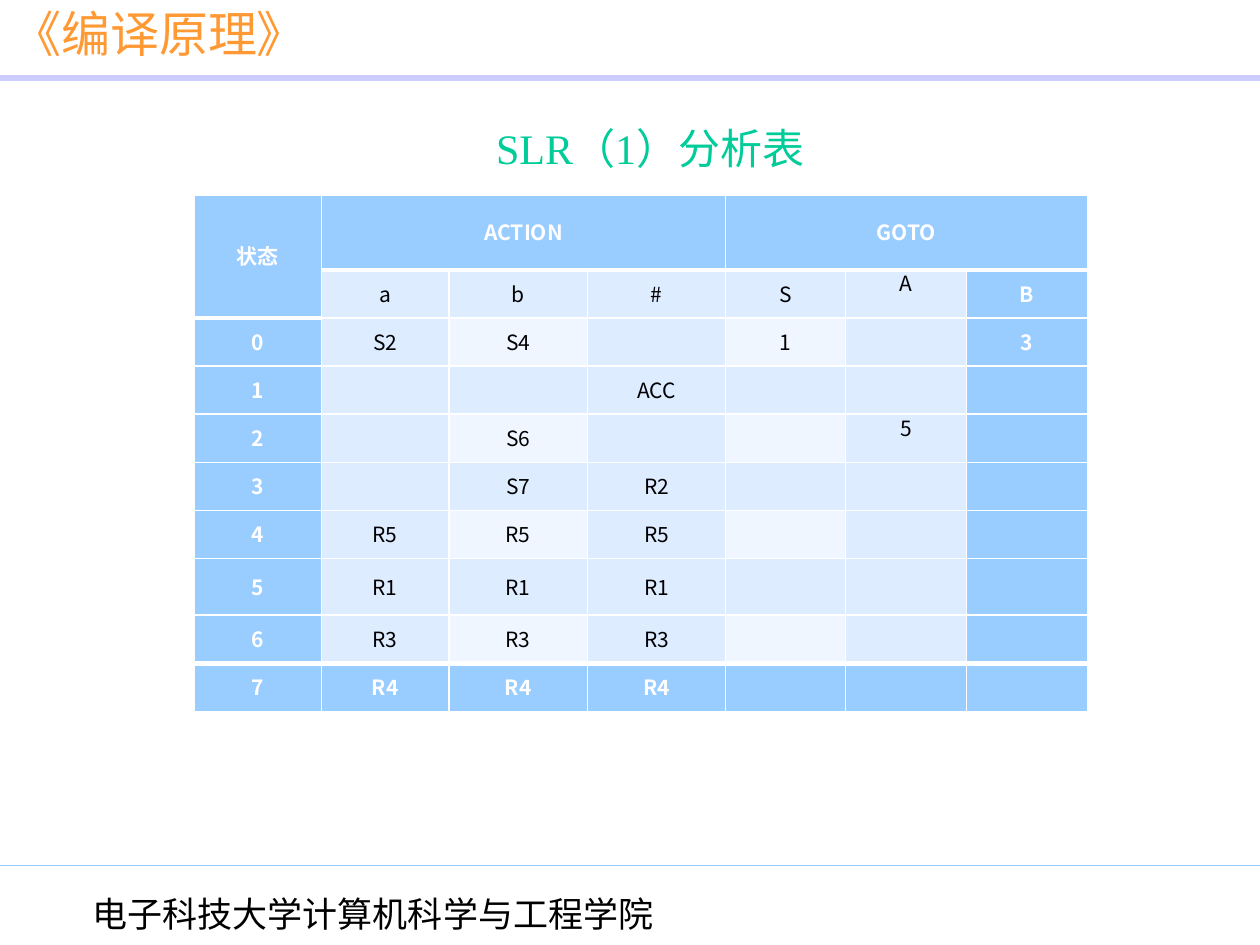
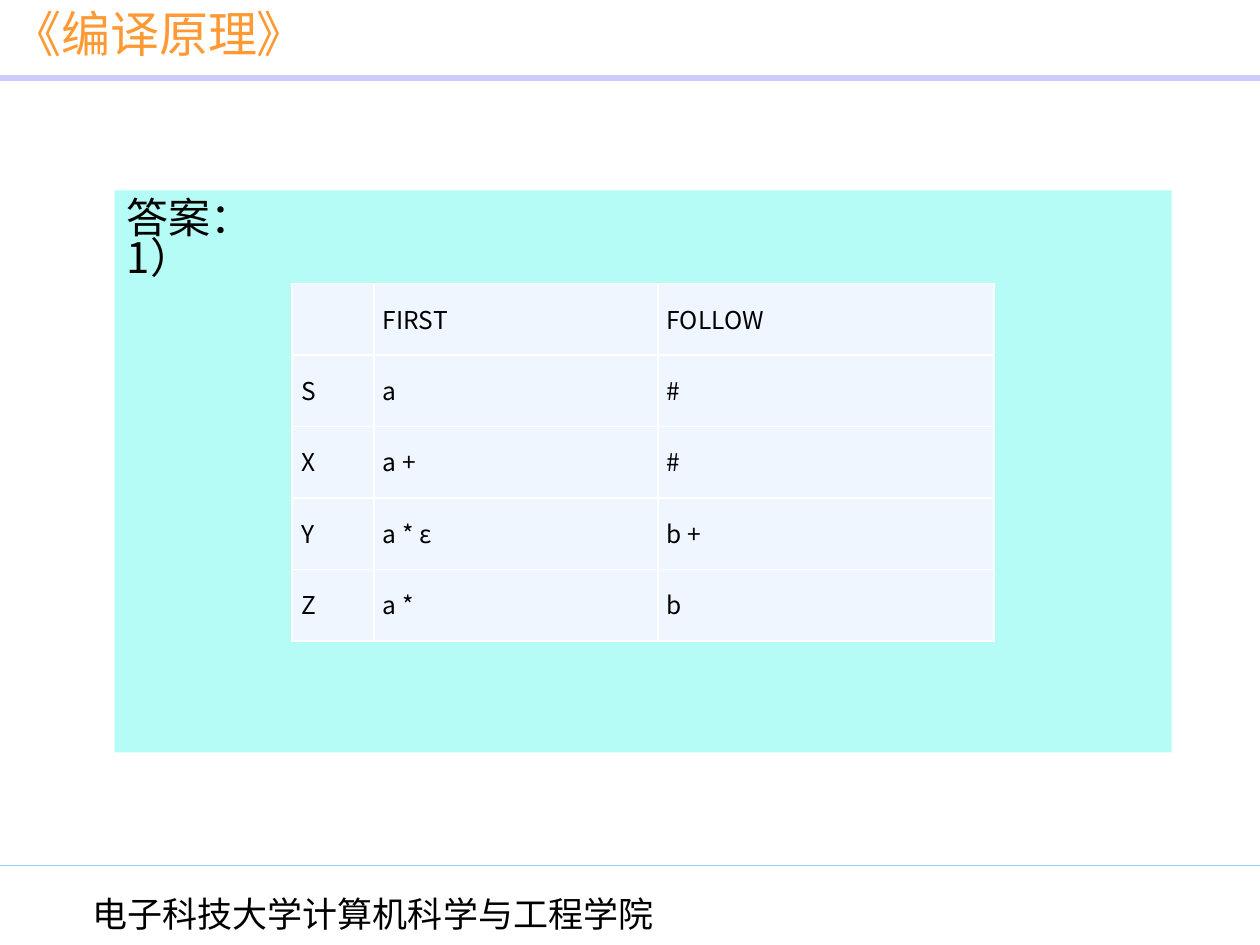
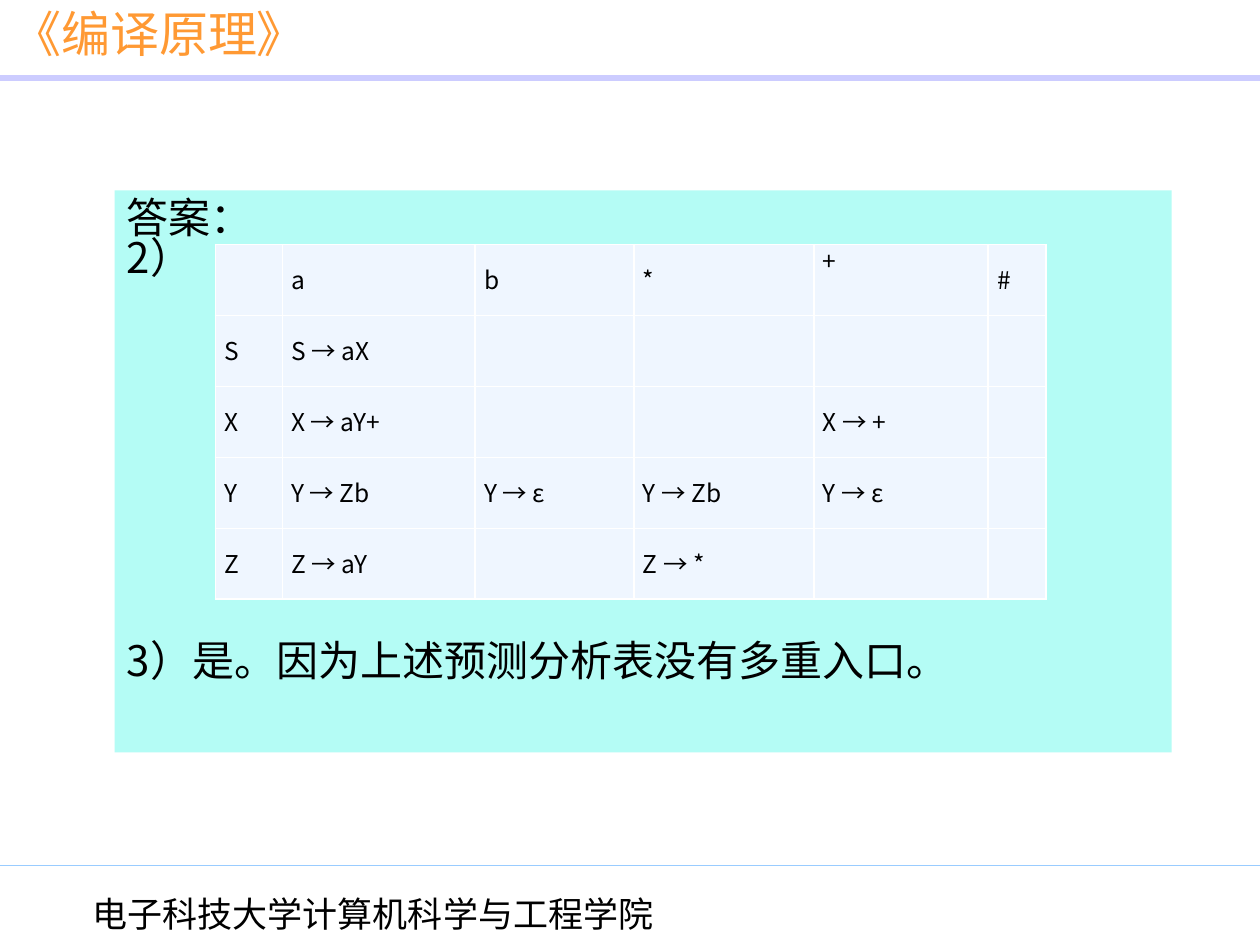
"""Build three compiler-course slides with parsing tables."""
from lxml import etree
from pptx import Presentation
from pptx import util as u
from pptx.dml.color import RGBColor
from pptx.enum import shapes, text
from pptx.oxml import ns

Cm, Pt = u.Cm, u.Pt
ALIGN, ANCHOR = text.PP_ALIGN, text.MSO_ANCHOR

WHITE = RGBColor(0xFF, 0xFF, 0xFF)
BLACK = RGBColor(0x00, 0x00, 0x00)
ORANGE = RGBColor(0xFF, 0x99, 0x33)
GREEN = RGBColor(0x00, 0xCC, 0x99)
LILAC = RGBColor(0xCC, 0xCC, 0xFF)
SKY = RGBColor(0x99, 0xCC, 0xFF)
PALE = RGBColor(0xDE, 0xEC, 0xFF)
PALEST = RGBColor(0xEF, 0xF6, 0xFF)
MINT = RGBColor(0xB4, 0xFC, 0xF5)

SANS, SANS_JP, SERIF = "Noto Sans CJK SC", "Noto Sans CJK JP", "Times New Roman"
SLIDE_W, SLIDE_H = 25.4, 19.05
PANEL = (2.31, 3.84, 21.31, 11.33)

ACTION_GOTO = [
    ["状态", "ACTION", "", "", "GOTO", "", ""],
    ["", "a", "b", "#", "S", "A", "B"],
    ["0", "S2", "S4", "", "1", "", "3"],
    ["1", "", "", "ACC", "", "", ""],
    ["2", "", "S6", "", "", "5", ""],
    ["3", "", "S7", "R2", "", "", ""],
    ["4", "R5", "R5", "R5", "", "", ""],
    ["5", "R1", "R1", "R1", "", "", ""],
    ["6", "R3", "R3", "R3", "", "", ""],
    ["7", "R4", "R4", "R4", "", "", ""],
]
FIRST_FOLLOW = [
    ["", "FIRST", "FOLLOW"],
    ["S", "a", "#"],
    ["X", "a +", "#"],
    ["Y", "a * ε", "b +"],
    ["Z", "a *", "b"],
]
PREDICTIONS = [
    ["", "a", "b", "*", "+", "#"],
    ["S", "S → aX", "", "", "", ""],
    ["X", "X → aY+", "", "", "X → +", ""],
    ["Y", "Y → Zb", "Y → ε", "Y → Zb", "Y → ε", ""],
    ["Z", "Z → aY", "", "Z → *", "", ""],
]


def apply(target, values):
    """Set every attribute named in a dict of format values."""
    for name, value in values.items():
        setattr(target, name, value)


def write(paragraph, words, size, color, face, bold=False, **layout):
    """Put one formatted run into a paragraph."""
    apply(paragraph, layout)
    run = paragraph.add_run()
    run.text = words
    apply(run.font, {"size": Pt(size), "name": face, "bold": bold})
    run.font.color.rgb = color
    east_asian = etree.SubElement(run.font._element, ns.qn("a:ea"))
    east_asian.set("typeface", SANS_JP if face == SANS_JP else SANS)


def label(slide, box, words, size, color, face, anchor, **layout):
    """Add a one-line text box."""
    frame = slide.shapes.add_textbox(*map(Cm, box)).text_frame
    apply(frame, {"word_wrap": True, "vertical_anchor": anchor})
    write(frame.paragraphs[0], words, size, color, face, **layout)


def rule(slide, y, color, width):
    """Draw a line across the whole slide."""
    line = slide.shapes.add_connector(
        shapes.MSO_CONNECTOR.STRAIGHT, 0, Cm(y), Cm(SLIDE_W), Cm(y))
    line.line.color.rgb = color
    line.line.width = Pt(width)
    etree.SubElement(line._element.spPr, ns.qn("a:effectLst"))


def course_slide(deck):
    """Add a slide with the course header and the school footer."""
    slide = deck.slides.add_slide(deck.slide_layouts[6])
    rule(slide, 1.57, LILAC, 3)
    rule(slide, 17.45, SKY, 0.75)
    label(slide, (0, 0, 9.53, 1.47), "《编译原理》", 28, ORANGE, SANS_JP,
          ANCHOR.MIDDLE, line_spacing=0.9)
    label(slide, (0, 17.78, 15.04, 1.27), "电子科技大学计算机科学与工程学院",
          20, BLACK, SERIF, ANCHOR.MIDDLE, alignment=ALIGN.CENTER)
    return slide


def edge_cell(cell, widths):
    """Give a cell white borders, with widths keyed by side letter."""
    properties = cell._tc.get_or_add_tcPr()
    for position, side in enumerate("LRTB"):
        border = etree.Element(ns.qn(f"a:ln{side}"), w=str(Pt(widths.get(side, 1))))
        fill = etree.SubElement(border, ns.qn("a:solidFill"))
        etree.SubElement(fill, ns.qn("a:srgbClr"), val=str(WHITE))
        properties.insert(position, border)


def grid(slide, left, top, columns, heights, rows, style, size, alignment):
    """Add a table whose style(row, column) gives fill, bold, anchor and borders."""
    table = slide.shapes.add_table(
        len(rows), len(columns), Cm(left), Cm(top),
        Cm(sum(columns)), Cm(sum(heights))).table
    apply(table, {"first_row": False, "horz_banding": False})
    for column, width in zip(table.columns, columns):
        column.width = Cm(width)
    for row, height in zip(table.rows, heights):
        row.height = Cm(height)
    for r, row in enumerate(rows):
        for c, words in enumerate(row):
            cell = table.cell(r, c)
            fill, bold, anchor, borders = style(r, c)
            apply(cell, {"margin_left": Cm(0.18), "margin_right": Cm(0.18),
                         "margin_top": 0, "margin_bottom": 0,
                         "vertical_anchor": anchor})
            cell.fill.solid()
            cell.fill.fore_color.rgb = fill
            edge_cell(cell, borders)
            write(cell.text_frame.paragraphs[0], words, size,
                  WHITE if bold else BLACK, SANS, bold,
                  alignment=alignment, line_spacing=0.9)
    return table


def action_goto_style(r, c):
    """Style the outer headings, the light bands and the heavy edges."""
    def heavy_top(row):
        return row in (1, 9) or (row, c) == (2, 0)

    heading = r in (0, 9) or c in (0, 6)
    band = PALEST if r % 2 == 0 and c in (2, 4) else PALE
    anchor = ANCHOR.TOP if c == 5 and r in (1, 4) else ANCHOR.MIDDLE
    borders = {"T": 3 if heavy_top(r) else 1, "B": 3 if heavy_top(r + 1) else 1}
    return SKY if heading else band, heading, anchor, borders


def answer_style(r, c):
    """Style a plain answer cell; the plus heading sits at the top."""
    return PALEST, False, ANCHOR.TOP if (r, c) == (0, 4) else ANCHOR.MIDDLE, {}


def slr_slide(deck):
    """Show the SLR(1) parsing table."""
    slide = course_slide(deck)
    heights = [1.5] + [0.97] * 6 + [1.14] + [0.97] * 2
    table = grid(slide, 3.91, 3.94, [2.57, 2.57, 2.79, 2.79, 2.41, 2.44, 2.44],
                 heights, ACTION_GOTO, action_goto_style, 12, ALIGN.CENTER)
    for first, last in (((0, 0), (1, 0)), ((0, 1), (0, 3)), ((0, 4), (0, 6))):
        table.cell(*first).merge(table.cell(*last))
    label(slide, (2.31, 2.34, 21.59, 1.27), "SLR（1）分析表", 24, GREEN, SERIF,
          ANCHOR.TOP, alignment=ALIGN.CENTER)


def answer_slide(deck, answers, offset, columns, height, rows):
    """Show answers on a mint panel with a table placed inside it."""
    slide = course_slide(deck)
    left, top = PANEL[:2]
    panel = slide.shapes.add_shape(shapes.MSO_SHAPE.RECTANGLE, *map(Cm, PANEL))
    panel.shadow.inherit = False
    panel.fill.solid()
    panel.fill.fore_color.rgb = MINT
    panel.line.fill.background()
    frame = panel.text_frame
    apply(frame, {"word_wrap": True, "vertical_anchor": ANCHOR.TOP,
                  "margin_top": Cm(0.23)})
    for number, (words, gap) in enumerate(answers):
        paragraph = frame.add_paragraph() if number else frame.paragraphs[0]
        if gap:
            paragraph.space_before = Pt(gap)
        write(paragraph, words, 24, BLACK, SANS,
              alignment=ALIGN.LEFT, line_spacing=Pt(23))
    grid(slide, left + offset[0], top + offset[1], columns, [height] * len(rows),
         rows, answer_style, 14, ALIGN.JUSTIFY)


def main():
    """Build and save the deck."""
    deck = Presentation()
    apply(deck, {"slide_width": Cm(SLIDE_W), "slide_height": Cm(SLIDE_H)})
    slr_slide(deck)
    answer_slide(deck, [("答案：", 0), ("1）", 0)], (3.58, 1.88),
                 [1.65, 5.72, 6.78], 1.44, FIRST_FOLLOW)
    answer_slide(deck, [("答案：", 0), ("2）", 0),
                        ("3）是。因为上述预测分析表没有多重入口。", 207)],
                 (2.03, 1.09), [1.35, 3.89, 3.2, 3.63, 3.51, 1.17], 1.43,
                 PREDICTIONS)
    deck.save("out.pptx")


if __name__ == "__main__":
    main()
